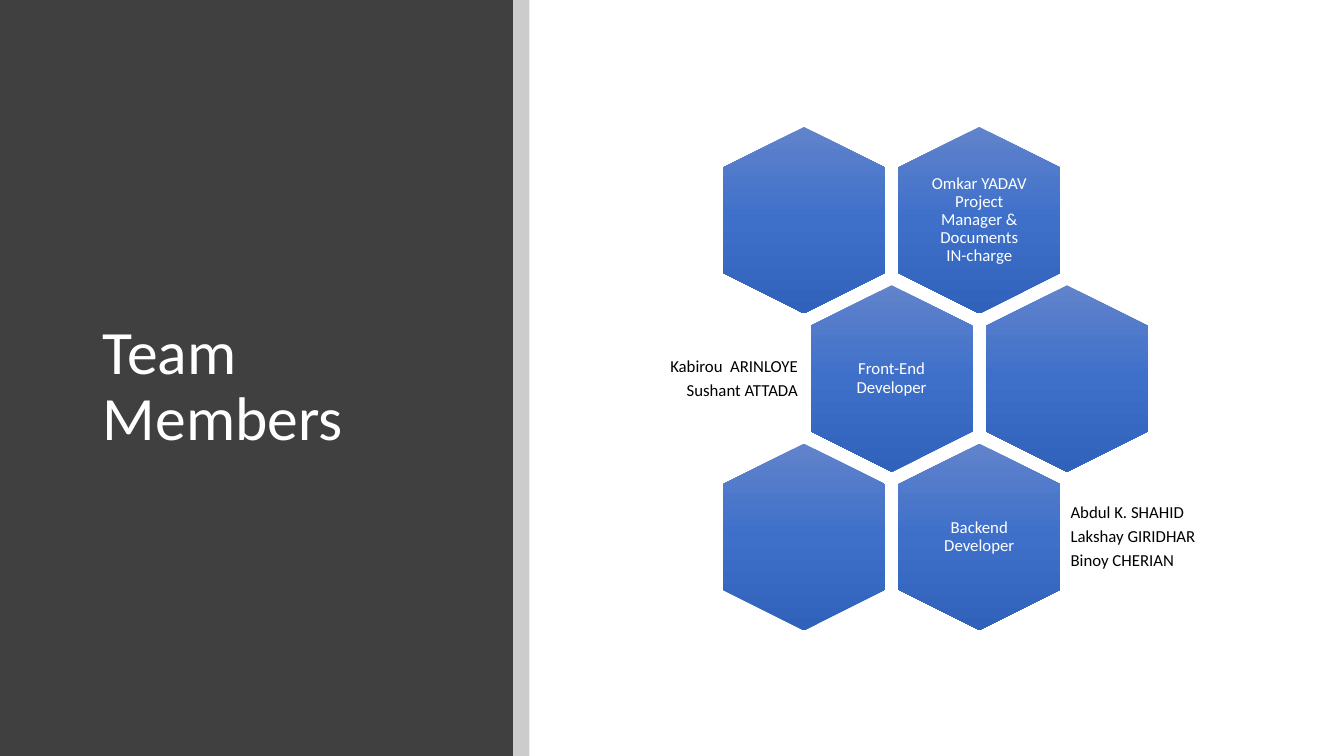
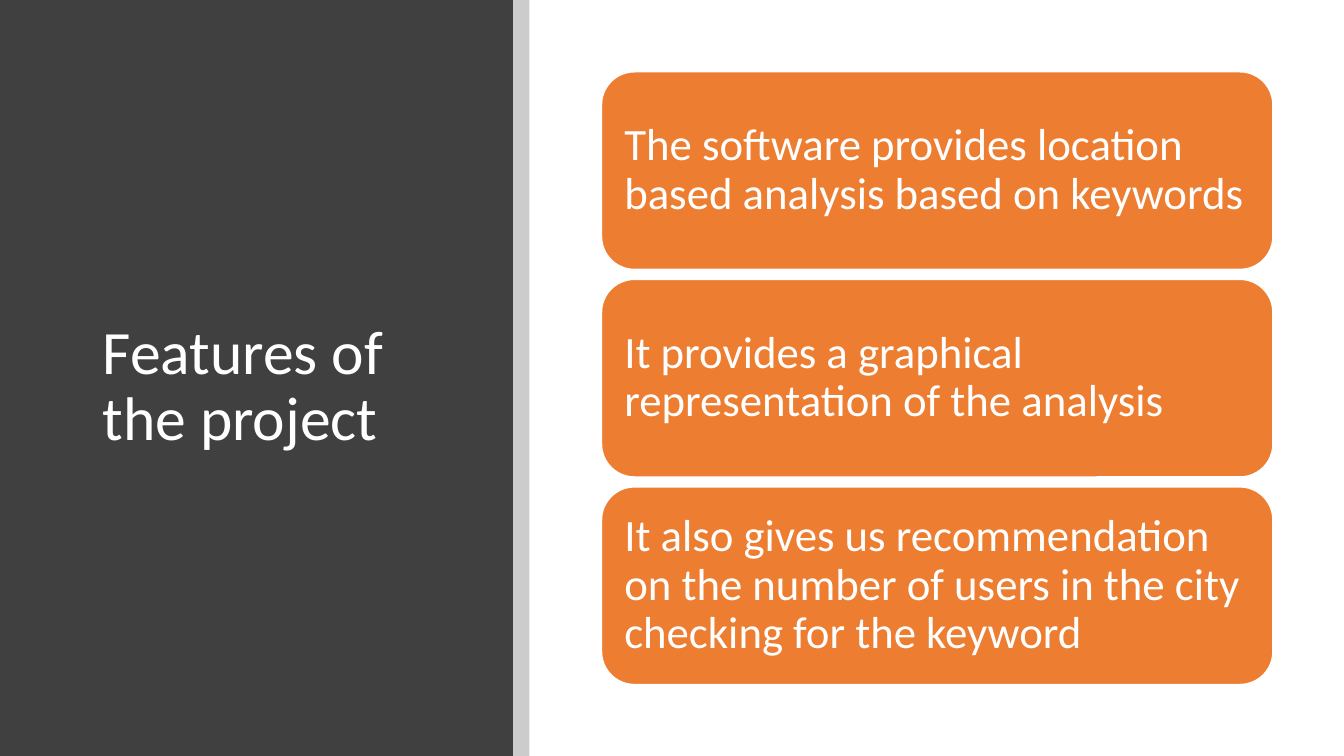
from pptx import Presentation
from pptx import util as u
from pptx.dml.color import RGBColor
from pptx.enum import shapes, text
from pptx.oxml import parse_xml
from pptx.oxml.ns import nsdecls, qn
from lxml import etree

COLORS = {"panel": "404040", "strip": "000000", "white": "FFFFFF",
          "black": "000000", "card": "ED7D31"}
HEX_STOPS = [(0, "6183CB"), (50, "3E70CA"), (100, "3062BB")]
SHAPE = shapes.MSO_SHAPE
ALIGN = text.PP_ALIGN


class Deck:
    """Shared style and the slide being built; all lengths are centimetres."""
    FONT = "Calibri"
    WIDTH, HEIGHT = 33.87, 19.05
    PANEL_W, STRIP_W = 12.93, 0.41

    def __init__(self):
        self.prs = Presentation()
        self.prs.slide_width = u.Cm(self.WIDTH)
        self.prs.slide_height = u.Cm(self.HEIGHT)
        self.s = None

    def slide(self, title):
        """Start a slide with the dark side panel, grey strip and title."""
        self.s = self.prs.slides.add_slide(self.prs.slide_layouts[5])
        self.shape(SHAPE.RECTANGLE, 0, 0, self.PANEL_W, self.HEIGHT, "panel")
        strip = self.shape(SHAPE.RECTANGLE, self.PANEL_W, 0,
                           self.STRIP_W, self.HEIGHT, "strip")
        clr = strip._element.spPr.find(qn("a:solidFill"))[0]
        etree.SubElement(clr, qn("a:alpha")).set("val", "20000")

        sp = self.s.shapes.title
        sp.left, sp.top = u.Cm(2.34), u.Cm(2.26)
        sp.width, sp.height = u.Cm(9.27), u.Cm(15.01)
        self.s.shapes._spTree.append(sp._element)  # in front of the panel
        self.fill_text(sp.text_frame, [title], 44, "white", inset=0.25,
                       after=0)

    def shape(self, kind, x, y, w, h, fill=None):
        sp = self.s.shapes.add_shape(kind, u.Cm(x), u.Cm(y), u.Cm(w), u.Cm(h))
        sp.shadow.inherit = False
        sp.line.fill.background()
        if fill:
            sp.fill.solid()
            sp.fill.fore_color.rgb = RGBColor.from_string(COLORS[fill])
        return sp

    def fill_text(self, tf, lines, size, color, align=ALIGN.LEFT, inset=0.13,
                  after=0.35):
        """Fill a text frame; after is the paragraph gap in font sizes."""
        tf.word_wrap = True
        tf.auto_size = text.MSO_AUTO_SIZE.NONE
        tf.vertical_anchor = text.MSO_ANCHOR.MIDDLE
        tf.margin_left = tf.margin_right = u.Cm(inset)
        tf.margin_top = tf.margin_bottom = u.Cm(inset)
        for i, line in enumerate(lines):
            p = tf.add_paragraph() if i else tf.paragraphs[0]
            p.alignment = align
            p.line_spacing = 0.9
            p.space_before = u.Pt(0)
            p.space_after = u.Pt(size * after)
            r = p.add_run()
            r.text = line
            r.font.name = self.FONT
            r.font.size = u.Pt(size)
            r.font.color.rgb = RGBColor.from_string(COLORS[color])

    def label(self, x, cy, w, h, lines, color, align):
        """Small text box centred vertically on cy."""
        sp = self.s.shapes.add_textbox(u.Cm(x), u.Cm(cy - h / 2),
                                       u.Cm(w), u.Cm(h))
        self.fill_text(sp.text_frame, lines, 12, color, align)

    def hexagon(self, cx, cy, role=None):
        """Upright gradient hexagon centred on (cx, cy)."""
        w, h = 4.7, 4.09
        sp = self.shape(SHAPE.HEXAGON, cx - w / 2, cy - h / 2, w, h)
        sp.rotation = 90
        sp.adjustments[0] = 0.25
        stops = "".join(
            f'<a:gs pos="{pos * 1000}"><a:srgbClr val="{c}"/></a:gs>'
            for pos, c in HEX_STOPS)
        grad = parse_xml(
            f'<a:gradFill {nsdecls("a")} rotWithShape="0"><a:gsLst>{stops}'
            '</a:gsLst><a:lin ang="5400000" scaled="0"/></a:gradFill>')
        sp._element.spPr.find(qn("a:prstGeom")).addnext(grad)
        if role:
            self.label(cx - 1.41, cy, 2.82, 3.23, [role], "white",
                       ALIGN.CENTER)

    def card(self, x, y, w, h, line):
        """Rounded card with a thin white outline."""
        sp = self.shape(SHAPE.ROUNDED_RECTANGLE, x, y, w, h, "card")
        sp.line.color.rgb = RGBColor.from_string(COLORS["white"])
        sp.line.width = u.Pt(1)
        self.fill_text(sp.text_frame, [line], 32, "white", inset=0.33)


def team_slide(deck):
    deck.slide("Team Members")
    # Honeycomb: the middle row is shifted by half a column
    x0, y0, col_step, row_step = 20.26, 5.55, 4.42, 3.99
    rows = [(None, "Omkar YADAV Project Manager & Documents IN-charge"),
            ("Front-End Developer", None),
            (None, "Backend Developer")]
    for i, row in enumerate(rows):
        for j, role in enumerate(row):
            deck.hexagon(x0 + (j + i % 2 / 2) * col_step,
                         y0 + i * row_step, role)
    # Names beside the developer roles
    deck.label(15.16, y0 + row_step, 5.08, 2.82,
               ["Kabirou  ARINLOYE", "Sushant ATTADA"], "black", ALIGN.RIGHT)
    deck.label(26.85, y0 + 2 * row_step, 5.23, 2.82,
               ["Abdul K. SHAHID", "Lakshay GIRIDHAR", "Binoy CHERIAN"],
               "black", ALIGN.LEFT)


def features_slide(deck):
    deck.slide("Features of the project")
    features = [
        "The software provides location based analysis based on keywords",
        "It provides a graphical representation of the analysis",
        "It also gives us recommendation on the number of users in the city "
        "checking for the keyword"]
    for i, feature in enumerate(features):
        deck.card(15.16, 1.81 + i * 5.23, 16.92, 4.98, feature)


def main():
    deck = Deck()
    team_slide(deck)
    features_slide(deck)
    deck.prs.save("out.pptx")


if __name__ == "__main__":
    main()
